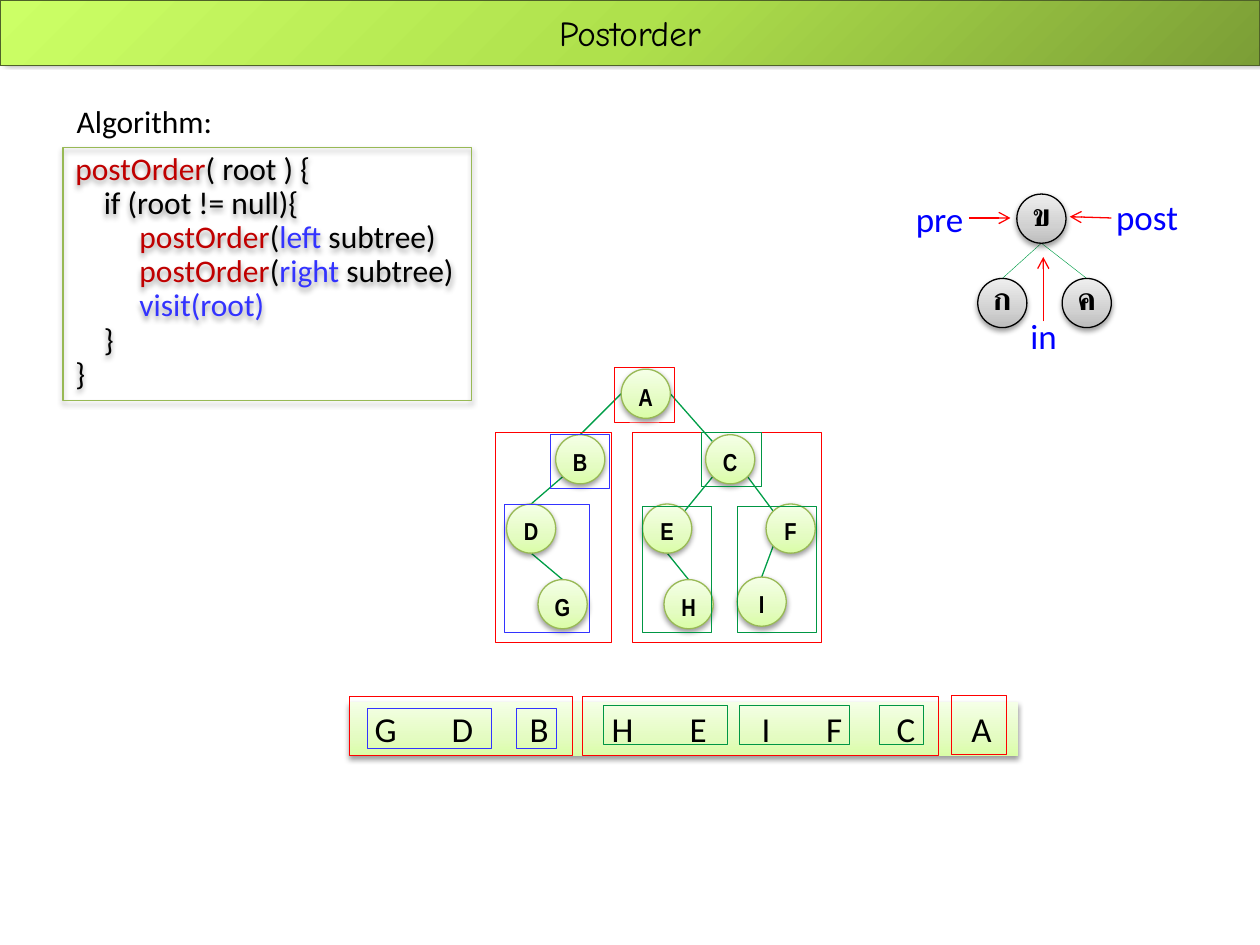
import math

from lxml import etree
from pptx import Presentation
from pptx.dml.color import RGBColor
from pptx.enum import shapes, text
from pptx.oxml import ns
from pptx.util import Inches, Pt

BLACK = RGBColor(0x00, 0x00, 0x00)
RED = RGBColor(0xFF, 0x00, 0x00)
DARK_RED = RGBColor(0xC0, 0x00, 0x00)
BLUE = RGBColor(0x33, 0x33, 0xFF)
LABEL_BLUE = RGBColor(0x00, 0x00, 0xFF)
GREEN = RGBColor(0x00, 0x96, 0x44)
EDGE_GREEN = RGBColor(0x00, 0x9E, 0x47)
LEAF_GREEN = RGBColor(0x98, 0xB9, 0x55)
TITLE_LINE = RGBColor(0x4F, 0x62, 0x28)

TITLE_STOPS = {0: "7B9E36", 50: "AFE14C", 100: "CCFF66"}
GREEN_STOPS = {0: "DAFDA7", 35: "E4FCC2", 100: "F5FFE7"}
GREY_STOPS = {0: "BDBDBD", 35: "D1D1D1", 100: "EEEEEE"}
SOFT_SHADOW = (38, 3.1, 1.6, 90)
NODE_SIZE = 0.39

# Angles of the points on a node where an edge may start or end
RIGHT, LOWER_RIGHT, BOTTOM, LOWER_LEFT, LEFT, UPPER_LEFT, TOP, UPPER_RIGHT = range(0, 360, 45)


def add_xml(parent, tag, **attributes):
    values = {name: str(value) for name, value in attributes.items()}
    return etree.SubElement(parent, ns.qn(tag), values)


def write(frame, lines, size=18, font="Calibri", color=BLACK, bold=False,
          align=text.PP_ALIGN.LEFT, spacing=None, tabs=()):
    """Fill a frame; each line is a list of (words, colour or None) runs."""
    for index, runs in enumerate(lines):
        paragraph = frame.paragraphs[0] if index == 0 else frame.add_paragraph()
        if tabs:
            tab_list = add_xml(paragraph._p.get_or_add_pPr(), "a:tabLst")
            for stop in tabs:
                add_xml(tab_list, "a:tab", pos=Inches(stop), algn="ctr")
        paragraph.alignment = align
        if spacing:
            paragraph.line_spacing = spacing
        for words, run_color in runs:
            run = paragraph.add_run()
            run.text = words
            run.font.size = Pt(size)
            run.font.name = font
            run.font.bold = bold
            run.font.color.rgb = run_color or color


def port(node, angle):
    """Point on the rim of a node, clockwise from its right side."""
    radius = NODE_SIZE / 2
    turn = math.radians(angle)
    return (node[0] + radius * (1 + math.cos(turn)),
            node[1] + radius * (1 + math.sin(turn)))


class TraversalSlide:
    def __init__(self, slide):
        self.slide = slide

    def gradient(self, shape, stops, circular=False):
        shape.fill.gradient()
        fill = shape._element.spPr.find(ns.qn("a:gradFill"))
        for child in list(fill):
            fill.remove(child)
        stop_list = add_xml(fill, "a:gsLst")
        for position, color in stops.items():
            add_xml(add_xml(stop_list, "a:gs", pos=position * 1000), "a:srgbClr", val=color)
        if circular:
            add_xml(add_xml(fill, "a:path", path="circle"), "a:fillToRect", l=100000, t=100000)
        else:
            add_xml(fill, "a:lin", ang=270 * 60000, scaled=1)

    def style(self, shape, stops=None, line=None, width=0.75, shadow=None, circular=False):
        if stops:
            self.gradient(shape, stops, circular)
        else:
            shape.fill.background()
        if line is None:
            shape.line.fill.background()
        else:
            shape.line.color.rgb = line
            shape.line.width = Pt(width)
        shape.shadow.inherit = False
        if shadow:
            opacity, blur, distance, angle = shadow
            effects = shape._element.spPr.find(ns.qn("a:effectLst"))
            outer = add_xml(effects, "a:outerShdw", blurRad=Pt(blur), dist=Pt(distance),
                            dir=angle * 60000, rotWithShape=0)
            add_xml(add_xml(outer, "a:srgbClr", val="000000"), "a:alpha", val=opacity * 1000)

    def title(self, words):
        title = self.slide.shapes.title
        title.left, title.top, title.width, title.height = map(Inches, (0, 0, 10, 0.52))
        self.style(title, TITLE_STOPS, TITLE_LINE, shadow=(40, 4, 3, 315), circular=True)
        title.text_frame.vertical_anchor = text.MSO_ANCHOR.MIDDLE
        write(title.text_frame, [[(words, None)]], size=20, font="Comic Neue",
              align=text.PP_ALIGN.CENTER)

    def shape(self, kind, box, **look):
        shape = self.slide.shapes.add_shape(kind, *map(Inches, box))
        self.style(shape, **look)
        return shape

    def box(self, box, **look):
        return self.shape(shapes.MSO_SHAPE.RECTANGLE, box, **look)

    def frames(self, color, boxes):
        for box in boxes:
            self.box(box, line=color, width=0.5)

    def node(self, corner, letter, stops, line, top=0, bottom=0, wrap=False, **font):
        node = self.shape(shapes.MSO_SHAPE.OVAL, (*corner, NODE_SIZE, NODE_SIZE),
                          stops=stops, line=line, shadow=SOFT_SHADOW)
        frame = node.text_frame
        frame.margin_left = frame.margin_right = 0
        frame.margin_top, frame.margin_bottom = Inches(top), Inches(bottom)
        frame.vertical_anchor = text.MSO_ANCHOR.MIDDLE
        frame.word_wrap = wrap
        write(frame, [[(letter, None)]], bold=True, align=text.PP_ALIGN.CENTER, **font)

    def line(self, start, end, color=EDGE_GREEN, width=0.75, arrow=False):
        line = self.slide.shapes.add_connector(
            shapes.MSO_CONNECTOR.STRAIGHT, *map(Inches, (*start, *end)))
        line.line.color.rgb = color
        line.line.width = Pt(width)
        if arrow:
            add_xml(line.line._get_or_add_ln(), "a:tailEnd", type="arrow")
        add_xml(line._element.spPr, "a:effectLst")

    def label(self, box, words, **font):
        frame = self.slide.shapes.add_textbox(*map(Inches, box)).text_frame
        frame.word_wrap = False
        write(frame, [[(words, None)]], **font)

    def visit_order(self):
        left = 2.77
        bar = self.box((left, 5.57, 5.31, 0.43), stops=GREEN_STOPS, shadow=SOFT_SHADOW)
        frame = bar.text_frame
        frame.margin_left = frame.margin_right = 0
        frame.margin_top = frame.margin_bottom = Inches(0.04)
        frame.vertical_anchor = text.MSO_ANCHOR.MIDDLE
        centres = (3.06, 3.67, 4.28, 4.94, 5.54, 6.08, 6.62, 7.19, 7.79)
        write(frame, [[("".join("\t" + letter for letter in "GDBHEIFCA"), None)]],
              size=20, tabs=[centre - left for centre in centres])
        self.frames(RED, [(2.77, 5.53, 1.77, 0.47), (4.62, 5.53, 2.83, 0.47),
                          (7.55, 5.52, 0.44, 0.47)])
        self.frames(BLUE, [(2.92, 5.62, 0.98, 0.32), (4.1, 5.62, 0.32, 0.32)])
        self.frames(GREEN, [(4.79, 5.6, 0.98, 0.31), (6.98, 5.6, 0.35, 0.31),
                            (5.87, 5.6, 0.87, 0.31)])

    def letter_tree(self):
        nodes = {"A": (4.93, 2.93), "B": (4.41, 3.45), "C": (5.6, 3.45),
                 "D": (4.02, 4), "E": (5.1, 4), "F": (6.08, 4),
                 "G": (4.27, 4.6), "H": (5.27, 4.6), "I": (5.85, 4.58)}
        edges = [("A", LEFT, "B", TOP), ("A", RIGHT, "C", UPPER_LEFT),
                 ("B", LOWER_LEFT, "D", TOP), ("C", LOWER_LEFT, "E", UPPER_RIGHT),
                 ("C", LOWER_RIGHT, "F", UPPER_LEFT), ("D", BOTTOM, "G", TOP),
                 ("E", BOTTOM, "H", TOP), ("F", LOWER_LEFT, "I", TOP)]
        for parent, leaving, child, entering in edges:
            self.line(port(nodes[parent], leaving), port(nodes[child], entering))
        for letter, corner in nodes.items():
            self.node(corner, letter, GREEN_STOPS, LEAF_GREEN, top=0.04,
                      size=14, font="Arial Narrow")
        self.frames(RED, [(3.93, 3.43, 0.92, 1.67), (5.02, 3.43, 1.5, 1.67),
                          (4.88, 2.92, 0.47, 0.43)])
        self.frames(BLUE, [(4.37, 3.45, 0.47, 0.43), (4, 4, 0.68, 1.02)])
        self.frames(GREEN, [(5.57, 3.43, 0.47, 0.43), (5.1, 4.02, 0.55, 1),
                            (5.85, 4.02, 0.63, 1)])

    def algorithm(self):
        self.label((0.51, 0.76, 1.29, 0.4), "Algorithm:")
        code = self.box((0.5, 1.17, 3.24, 2.01), line=LEAF_GREEN, shadow=SOFT_SHADOW)
        code.text_frame.vertical_anchor = text.MSO_ANCHOR.TOP
        calls = [[("         ", None), ("postOrder", DARK_RED), ("(", None),
                  (side + " ", BLUE), ("subtree)", None)] for side in ("left", "right")]
        write(code.text_frame, [
            [("postOrder", DARK_RED), ("( root ) {", None)],
            [("    if (root != null){", None)],
            *calls,
            [("         ", None), ("visit(root)", BLUE)],
            [("    }", None)],
            [("}", None)],
        ], spacing=0.9)

    def order_key(self):
        root, left, right = (8.07, 1.54), (7.76, 2.21), (8.43, 2.21)
        for child in (right, left):
            self.line(port(root, BOTTOM), port(child, TOP), width=0.25)
        for corner, letter in ((root, "ข"), (right, "ค"), (left, "ก")):
            self.node(corner, letter, GREY_STOPS, BLACK, bottom=0.08, wrap=True, font="Karla")
        for words, box, start, end in (
                ("in", (8.08, 2.45, 0.42, 0.44), (8.28, 2.55), (8.28, 2.04)),
                ("pre", (7.17, 1.52, 0.59, 0.44), (7.69, 1.73), (8.02, 1.73)),
                ("post", (8.76, 1.5, 0.7, 0.44), (8.82, 1.73), (8.49, 1.72))):
            self.line(start, end, color=RED, arrow=True)
            self.label(box, words, size=20, color=LABEL_BLUE)


def main():
    deck = Presentation()
    deck.slide_width, deck.slide_height = Inches(10), Inches(7.5)
    page = TraversalSlide(deck.slides.add_slide(deck.slide_layouts[5]))
    page.title("Postorder")
    page.visit_order()
    page.letter_tree()
    page.algorithm()
    page.order_key()
    deck.save("out.pptx")


if __name__ == "__main__":
    main()
